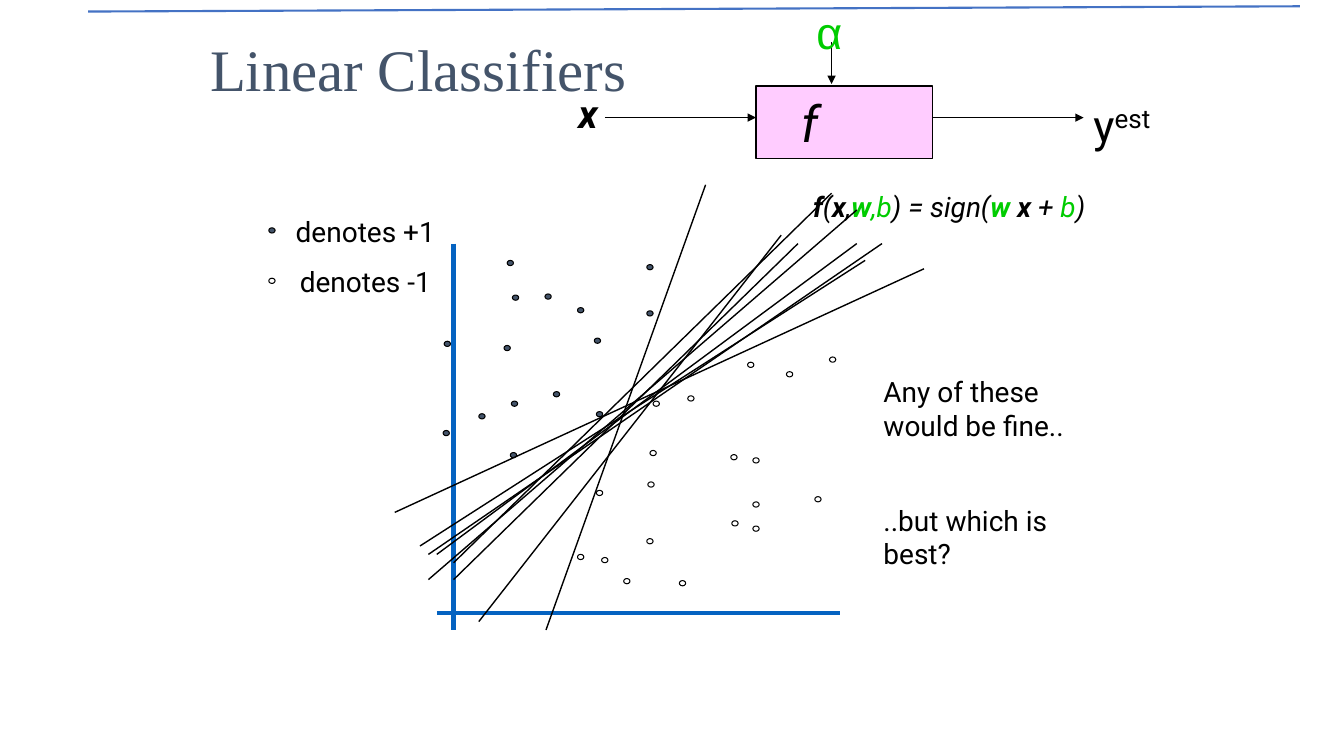
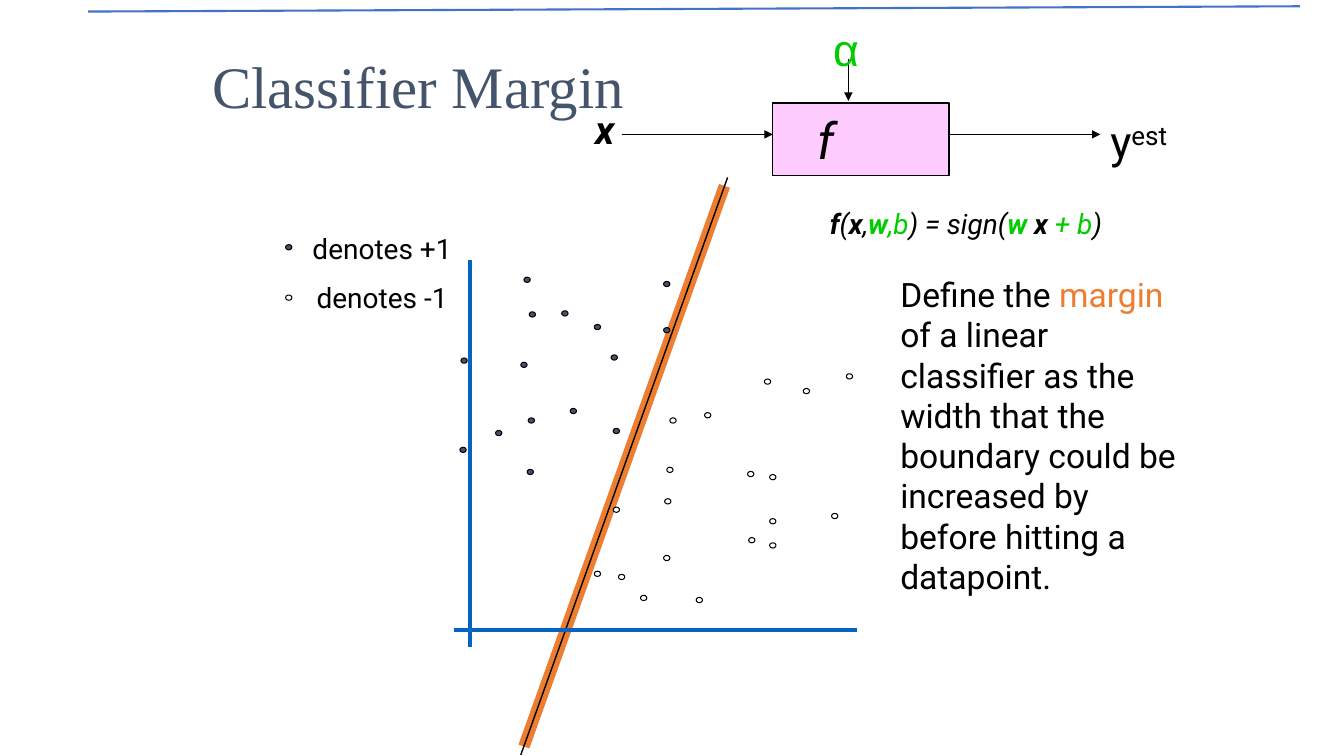
from lxml import etree
from pptx import Presentation
from pptx.dml.color import RGBColor
from pptx.enum.shapes import MSO_CONNECTOR as CONN, MSO_SHAPE as SHAPE
from pptx.enum.text import MSO_ANCHOR as ANCHOR, PP_ALIGN as ALIGN
from pptx.oxml.ns import qn
from pptx.util import Pt

PX = 9525  # EMU per px, 96 px to the inch
rgb = RGBColor.from_string
BLACK, WHITE, SLATE, GREEN = "000000", "FFFFFF", "44546A", "00CC00"
BLUE, AXIS, ORANGE, PINK = "4472C4", "0563C1", "ED7D31", "FFCCFF"


def add_line(s, d, ends, color=BLACK, width=1, arrow=False):
    """Draw a straight line (x1, y1, x2, y2), moved right and down by d."""
    ln = s.shapes.add_connector(CONN.STRAIGHT, *[(v + d) * PX for v in ends])
    ln.line.color.rgb = rgb(color)
    ln.line.width = Pt(width)
    if arrow:
        etree.SubElement(ln.line._get_or_add_ln(), qn("a:tailEnd"), type="triangle")
    etree.SubElement(ln.element.spPr, qn("a:effectLst"))
    return ln


def write(tf, paragraphs, size, align=ALIGN.LEFT, gap=0, font="Roboto"):
    """Fill tf with paragraphs of (text, colour, style); style holds b, i or ^."""
    tf.word_wrap = True
    for i, runs in enumerate(paragraphs):
        p = tf.add_paragraph() if i else tf.paragraphs[0]
        p.alignment = align
        p.space_before = Pt(gap if i else 0)
        for text, color, style in runs:
            r = p.add_run()
            r.text = text
            r.font.name, r.font.size = font, Pt(size)
            r.font.color.rgb = rgb(color)
            r.font.bold, r.font.italic = "b" in style, "i" in style
            if "^" in style:
                r._r.get_or_add_rPr().set("baseline", "30000")


# Centres of the data points, the legend's marker first
plus_dots = [
    (259, 219), (425, 412), (619, 298), (522, 282), (571, 394), (483, 331),
    (491, 283), (490, 384), (569, 324), (489, 433), (619, 254), (486, 250),
    (530, 375), (459, 396), (553, 295), (426, 327)]
minus_dots = [
    (259, 267), (553, 530), (625, 384), (699, 435), (571, 469), (793, 342),
    (720, 480), (658, 379), (779, 475), (597, 553), (720, 438), (622, 431),
    (752, 356), (715, 347), (700, 498), (650, 555), (619, 515), (620, 461),
    (576, 533), (720, 503)]
DOT_W, DOT_H = 6, 5

arrows = [(576, 112, 720, 112), (792, 40, 792, 80), (888, 112, 1032, 112)]
axes = [(432, 232, 432, 600), (416, 584, 800, 584)]
boundaries = [
    (520, 600, 672, 176), (400, 520, 824, 248), (432, 552, 760, 232),
    (376, 488, 880, 256), (416, 528, 816, 232), (408, 552, 816, 200),
    (432, 536, 792, 184), (456, 592, 744, 224), (408, 528, 840, 232)]
margin_lines = [((483, 695, 674, 161), ORANGE, 8.25), ((480, 703, 677, 153), BLACK, 1)]

formula_start = [
    ("f", BLACK, "bi"), ("(", BLACK, "i"), ("x", BLACK, "bi"), (",", BLACK, "i"),
    ("w", GREEN, "bi"), (",b", GREEN, "i"), (") = sign(", BLACK, "i"), ("w", GREEN, "bi")]

# Box, paragraphs, size, alignment, paragraph gap, font
labels = [
    ((528, 80, 64, 55), [[("x", BLACK, "bi")]], 28, ALIGN.CENTER, 0, "Roboto"),
    ((768, 0, 40, 60), [[("α", GREEN, "")]], 32, ALIGN.CENTER, 0, "Arial"),
    ((1032, 88, 88, 60), [[("y", BLACK, ""), ("est", BLACK, "^")]], 32, ALIGN.LEFT, 0, "Roboto"),
    ((248, 200, 200, 89), [[("denotes +1", BLACK, "")], [("denotes -1", BLACK, "")]],
     20, ALIGN.CENTER, 11, "Roboto")]

# Offset, title, title inset, lines below, lines above, end of formula, remark
slides = [
    (0, "Linear Classifiers", 24, [], [(b, BLACK, 1) for b in boundaries],
     [(" x ", BLACK, "bi"), ("+ ", BLACK, "i"), ("b", GREEN, "i"), (")", BLACK, "i")],
     ((832, 352, 232, 202), [[("Any of these would be fine..", BLACK, "")],
                             [("..but which is best?", BLACK, "")]],
      20, ALIGN.LEFT, 44, "Roboto")),
    (16, "Classifier Margin", 10, margin_lines, [],
     [(" x", BLACK, "bi"), (" + b", GREEN, "i"), (")", BLACK, "i")],
     ((832, 240, 288, 320),
      [[("Define the ", BLACK, ""), ("margin", ORANGE, ""),
        (" of a linear classifier as the width that the boundary could be "
         "increased by before hitting a datapoint.", BLACK, "")]],
      24, ALIGN.LEFT, 0, "Roboto"))]

prs = Presentation()
prs.slide_width, prs.slide_height = 1280 * PX, 720 * PX
layout = prs.slide_layouts[5]

for d, title, inset, below, above, formula_end, remark in slides:
    s = prs.slides.add_slide(layout)

    if d == 0:  # the top rule belongs to the master
        rule = add_line(s, 0, (84, 11, 1238, 6), BLUE, 1.5)
        rule.element.nvCxnSpPr.cNvPr.id = 99
        prs.slide_master.shapes.element.append(rule.element)

    for ends, color, width in below:
        add_line(s, d, ends, color, width)

    sp = s.shapes.title
    sp.left, sp.top = (176 + d) * PX, (32 + d) * PX
    sp.width, sp.height = 488 * PX, 72 * PX
    tf = sp.text_frame
    tf.vertical_anchor = ANCHOR.BOTTOM
    tf.margin_left = inset * PX
    write(tf, [[(title, SLATE, "")]], 42, font="Times New Roman")
    tf.paragraphs[0].line_spacing = 0.9

    sp = s.shapes.add_shape(SHAPE.RECTANGLE, (720 + d) * PX, (82 + d) * PX, 168 * PX, 69 * PX)
    sp.shadow.inherit = False
    sp.fill.solid()
    sp.fill.fore_color.rgb = rgb(PINK)
    sp.line.color.rgb = rgb(BLACK)
    sp.line.width = Pt(1)
    sp.text_frame.vertical_anchor = ANCHOR.MIDDLE
    sp.text_frame.margin_left = 43 * PX
    write(sp.text_frame, [[("f", BLACK, "i")]], 36)

    for ends in arrows:
        add_line(s, d, ends, arrow=True)
    for ends in axes:
        add_line(s, d, ends, AXIS, 3)

    for dots, color in ((plus_dots, SLATE), (minus_dots, WHITE)):
        for x, y in dots:
            left, top = x - DOT_W // 2 + d, y - DOT_H // 2 + d
            sp = s.shapes.add_shape(SHAPE.OVAL, left * PX, top * PX, DOT_W * PX, DOT_H * PX)
            sp.shadow.inherit = False
            sp.fill.solid()
            sp.fill.fore_color.rgb = rgb(color)
            sp.line.color.rgb = rgb(BLACK)
            sp.line.width = Pt(0.75)

    formula = ((736, 176, 336, 41), [formula_start + formula_end], 20, ALIGN.CENTER, 0, "Roboto")
    for (x, y, w, h), *text in labels + [formula, remark]:
        sp = s.shapes.add_textbox((x + d) * PX, (y + d) * PX, w * PX, h * PX)
        write(sp.text_frame, *text)

    for ends, color, width in above:
        add_line(s, d, ends, color, width)

prs.save("out.pptx")
